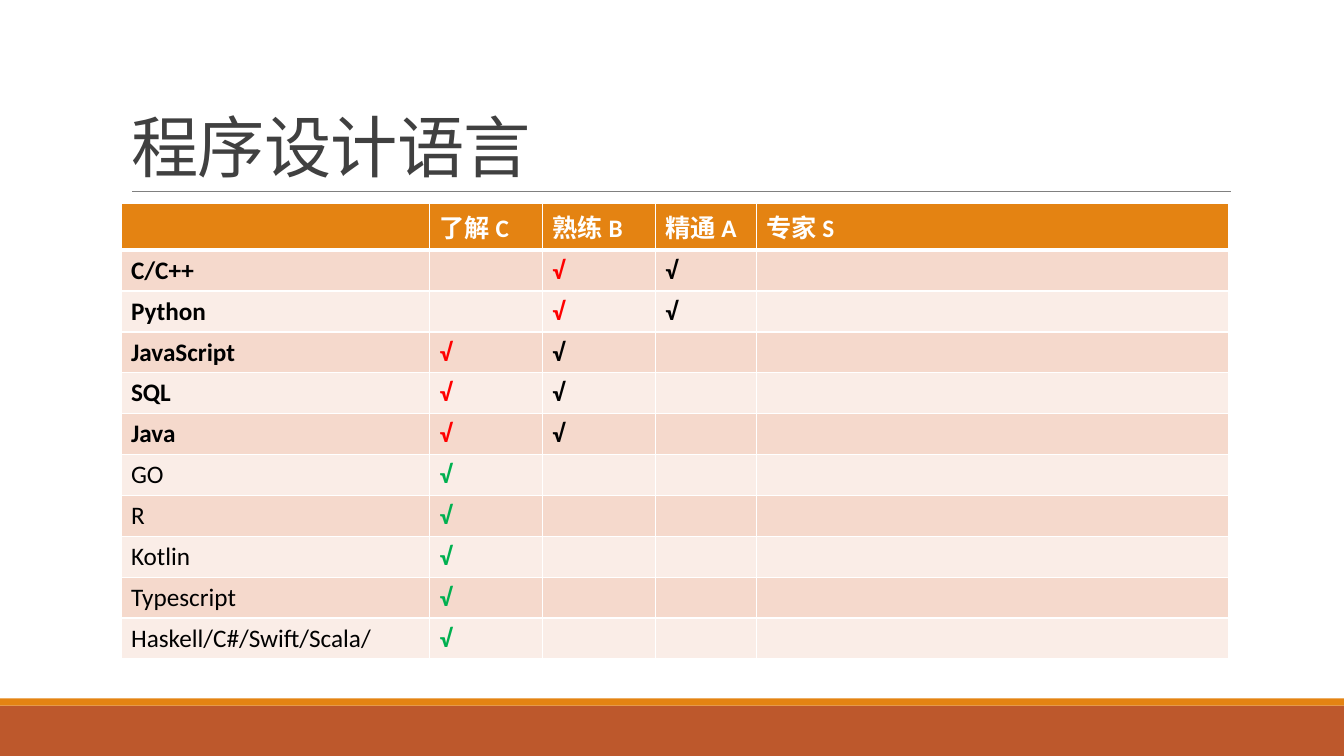
from dataclasses import dataclass

from pptx import Presentation
from pptx.dml.color import RGBColor as RGB
from pptx.enum.shapes import MSO_CONNECTOR as Link, MSO_SHAPE as Shape
from pptx.enum.text import MSO_ANCHOR as Anchor, MSO_AUTO_SIZE as Fit, PP_ALIGN as Align
from pptx.oxml import parse_xml
from pptx.oxml.ns import nsdecls
from pptx.util import Inches, Pt


@dataclass(frozen=True)
class Theme:
    font: str = "Calibri"
    title: float = 48
    body: float = 18
    ink: str = "404040"
    rule: str = "808080"
    head: str = "E48312"
    foot: str = "BD582C"
    bands: tuple = ("F5D9CC", "FAEDE7")
    white: str = "FFFFFF"
    black: str = "000000"
    red: str = "FF0000"
    green: str = "00B050"


THEME = Theme()
HEADS = ["", "了解 C", "熟练 B", "精通 A", "专家 S"]
# Language, and the colour of the tick in each column that has one
ROWS = [
    ("C/C++", {2: THEME.red, 3: THEME.black}),
    ("Python", {2: THEME.red, 3: THEME.black}),
    ("JavaScript", {1: THEME.red, 2: THEME.black}),
    ("SQL", {1: THEME.red, 2: THEME.black}),
    ("Java", {1: THEME.red, 2: THEME.black}),
    ("GO", {1: THEME.green}),
    ("R", {1: THEME.green}),
    ("Kotlin", {1: THEME.green}),
    ("Typescript", {1: THEME.green}),
    ("Haskell/C#/Swift/Scala/", {1: THEME.green}),
]
WIDTHS = [3.06, 1.12, 1.12, 1, 4.69]


def apply(item, **form):
    for name, value in form.items():
        setattr(item, name, value)


def write(para, text, size, color, bold=False):
    run = para.add_run()
    run.text = text
    apply(run.font, name=THEME.font, size=Pt(size), bold=bold)
    run.font.color.rgb = RGB.from_string(color)
    return run


def add_bar(slide, box, color):
    bar = slide.shapes.add_shape(Shape.RECTANGLE, *map(Inches, box))
    bar.shadow.inherit = False
    bar.fill.solid()
    bar.fill.fore_color.rgb = RGB.from_string(color)
    bar.line.fill.background()


def add_foot(slide, box):
    left, top, width, height = box
    thin = 0.07
    add_bar(slide, (left, top + thin, width, height - thin), THEME.foot)
    add_bar(slide, (left, top, width, thin), THEME.head)


def add_title(slide, box, text):
    left, top, width, height = box
    # Rule below the title
    y = Inches(top + height)
    line = slide.shapes.add_connector(
        Link.STRAIGHT, Inches(left + 0.11), y, Inches(left + width + 0.01), y)
    line.line.color.rgb = RGB.from_string(THEME.rule)
    line.line.width = Pt(0.5)
    line._element.spPr.append(parse_xml(f"<a:effectLst {nsdecls('a')}/>"))
    # Title text
    title = slide.shapes.title
    apply(title, **dict(zip(("left", "top", "width", "height"), map(Inches, box))))
    apply(title.text_frame, word_wrap=True, auto_size=Fit.NONE,
          vertical_anchor=Anchor.BOTTOM)
    para = title.text_frame.paragraphs[0]
    apply(para, alignment=Align.LEFT, line_spacing=0.85)
    run = write(para, text, THEME.title, THEME.ink)
    run.font._element.set("spc", "-50")


def edge(cell, top, bottom):
    for side, width in {"L": 1, "R": 1, "T": top, "B": bottom}.items():
        cell._tc.get_or_add_tcPr().append(parse_xml(
            f'<a:ln{side} {nsdecls("a")} w="{Pt(width)}"><a:solidFill>'
            f'<a:srgbClr val="{THEME.white}"/></a:solidFill></a:ln{side}>'))


def add_grid(slide, box):
    count = len(ROWS) + 1
    table = slide.shapes.add_table(count, len(WIDTHS), *map(Inches, box)).table
    for col, width in zip(table.columns, WIDTHS):
        col.width = Inches(width)
    for row in table.rows:
        row.height = Inches(box[3] / count)

    def fill(r, c, text, color, bold, back):
        cell = table.cell(r, c)
        edge(cell, 3 if r == 1 else 1, 3 if r == 0 else 1)
        cell.fill.solid()
        cell.fill.fore_color.rgb = RGB.from_string(back)
        para = cell.text_frame.paragraphs[0]
        if text:
            write(para, text, THEME.body, color, bold)
        else:
            para.font.size = Pt(THEME.body)

    # Header row
    for c, text in enumerate(HEADS):
        fill(0, c, text, THEME.white, True, THEME.head)
    # Language rows: bold for those beyond the first level
    for r, (name, ticks) in enumerate(ROWS, 1):
        back = THEME.bands[(r - 1) % 2]
        fill(r, 0, name, THEME.black, len(ticks) > 1, back)
        for c in range(1, len(WIDTHS)):
            mark = "√" if c in ticks else ""
            fill(r, c, mark, ticks.get(c), True, back)


def main():
    deck = Presentation()
    apply(deck, slide_width=Inches(13.33), slide_height=Inches(7.5))
    slide = deck.slides.add_slide(deck.slide_layouts[5])
    add_foot(slide, (0, 6.93, 13.33, 0.57))
    add_title(slide, (1.2, 0.31, 11, 1.59), "程序设计语言")
    add_grid(slide, (1.2, 2.02, 11, 4.46))
    deck.save("out.pptx")


if __name__ == "__main__":
    main()
